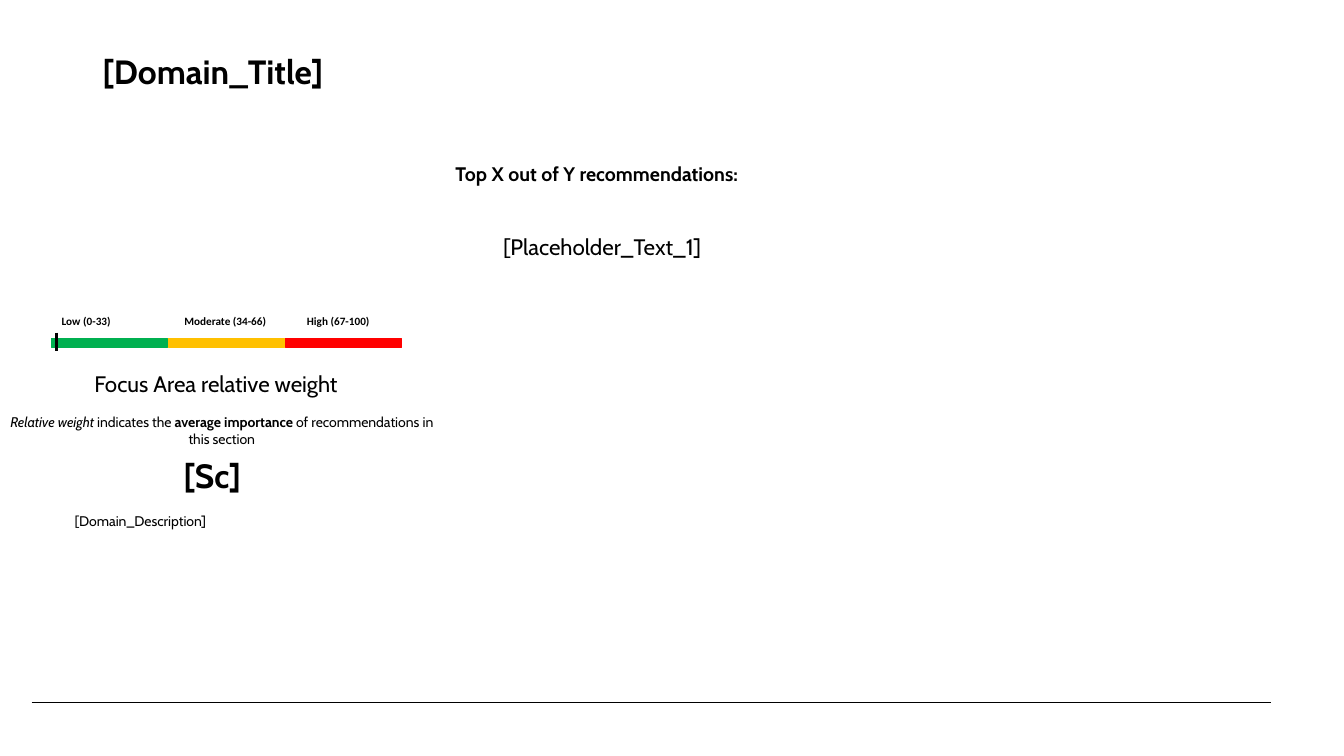
from collections import namedtuple
from dataclasses import dataclass

from lxml.etree import SubElement
from pptx import Presentation
from pptx.dml.color import RGBColor
from pptx.enum.shapes import MSO_CONNECTOR as Conn, MSO_SHAPE as Shape
from pptx.enum.text import MSO_AUTO_SIZE as AutoSize, PP_ALIGN as Align
from pptx.oxml.ns import qn
from pptx.util import Cm, Pt

Box = namedtuple("Box", "x y w h")  # centimetres


@dataclass(frozen=True)
class Theme:
    font: str = "Cabin"
    label_font: str = "Calibri"
    ink: str = "000000"
    low: str = "00B050"
    moderate: str = "FFC000"
    high: str = "FF0000"
    title: int = 24
    body: int = 16
    heading: int = 14
    small: int = 10
    label: int = 8


THEME = Theme()
LEVELS = [("Low (0-33)", THEME.low),
          ("Moderate (34-66)", THEME.moderate),
          ("High (67-100)", THEME.high)]


def rgb(colour):
    return RGBColor.from_string(colour)


def add_run(p, text, size, bold=False, italic=False, font=THEME.font):
    r = p.add_run()
    r.text = text
    r.font.name, r.font.size = font, Pt(size)
    r.font.bold, r.font.italic = bold, italic
    r.font.color.rgb = rgb(THEME.ink)


def add_text(slide, box, runs, align=Align.LEFT):
    """Add one paragraph; each run is (text, size[, bold[, italic]])."""
    tf = slide.shapes.add_textbox(*map(Cm, box)).text_frame
    tf.word_wrap = True
    tf.auto_size = AutoSize.SHAPE_TO_FIT_TEXT
    p = tf.paragraphs[0]
    p.alignment = align
    for run in runs:
        add_run(p, *run)


def add_line(slide, x1, y1, x2, y2, width):
    line = slide.shapes.add_connector(Conn.STRAIGHT, *map(Cm, (x1, y1, x2, y2)))
    line.line.color.rgb = rgb(THEME.ink)
    line.line.width = Pt(width)
    SubElement(line._element.spPr, qn("a:effectLst"))


def level_labels(slide, box):
    table = slide.shapes.add_table(1, len(LEVELS), *map(Cm, box)).table
    table.first_row = table.horz_banding = False
    for cell, (name, _) in zip(table.rows[0].cells, LEVELS):
        cell.fill.background()
        add_run(cell.text_frame.paragraphs[0], name, THEME.label, bold=True,
                font=THEME.label_font)


def weight_gauge(slide, box):
    level_labels(slide, Box(box.x, box.y, box.w, 0.58))
    pitch, gap = 2.95, 0.03
    for i, (_, colour) in enumerate(LEVELS):
        bar = Box(box.x + i * pitch, box.y + 0.73, pitch - gap, 0.23)
        sp = slide.shapes.add_shape(Shape.RECTANGLE, *map(Cm, bar))
        sp.shadow.inherit = False
        sp.fill.solid()
        sp.fill.fore_color.rgb = sp.line.color.rgb = rgb(colour)
        sp.line.width = Pt(1)
    marker = box.x + 0.12
    add_line(slide, marker, box.y + 0.58, marker, box.y + box.h, 2.5)


def focus_panel(slide, box):
    x, y, small = box.x, box.y, THEME.small
    weight_gauge(slide, Box(x + 1.3, y, 9.27, 1.04))
    add_text(slide, Box(x + 1.42, y + 1.39, 8.05, 0.94),
             [("Focus Area relative weight", THEME.body)], Align.CENTER)
    add_text(slide, Box(x, y + 2.49, box.w, 1.12),
             [("Relative weight ", small, False, True),
              ("indicates the ", small),
              ("average importance ", small, True),
              ("of recommendations in this section", small)], Align.CENTER)
    add_text(slide, Box(x + 3.84, y + 3.53, 3.02, 1.27),
             [("[Sc]", THEME.title, True)], Align.CENTER)
    add_text(slide, Box(x + 1.63, y + 5, 8.69, 0.69),
             [("[Domain_Description]", small)], Align.JUSTIFY)


def recommendations(slide, box):
    add_text(slide, Box(box.x, box.y, 17.07, 0.86),
             [("Top X out of Y recommendations:", THEME.heading, True)])
    indent = 1.2
    add_text(slide, Box(box.x + indent, box.y + 1.78, box.w - indent, 0.94),
             [("[Placeholder_Text_1]", THEME.body)])


def main():
    prs = Presentation()
    prs.slide_width, prs.slide_height = Cm(33.87), Cm(19.05)
    slide = prs.slides.add_slide(prs.slide_layouts[6])
    add_text(slide, Box(2.34, 1.17, 28.09, 2.82),
             [("[Domain_Title]", THEME.title, True)])
    focus_panel(slide, Box(0, 7.8, 11.18, 5.69))
    recommendations(slide, Box(11.23, 3.96, 20.76, 2.72))
    add_line(slide, 0.8, 17.7, 32.03, 17.7, 0.5)
    prs.save("out.pptx")


if __name__ == "__main__":
    main()
